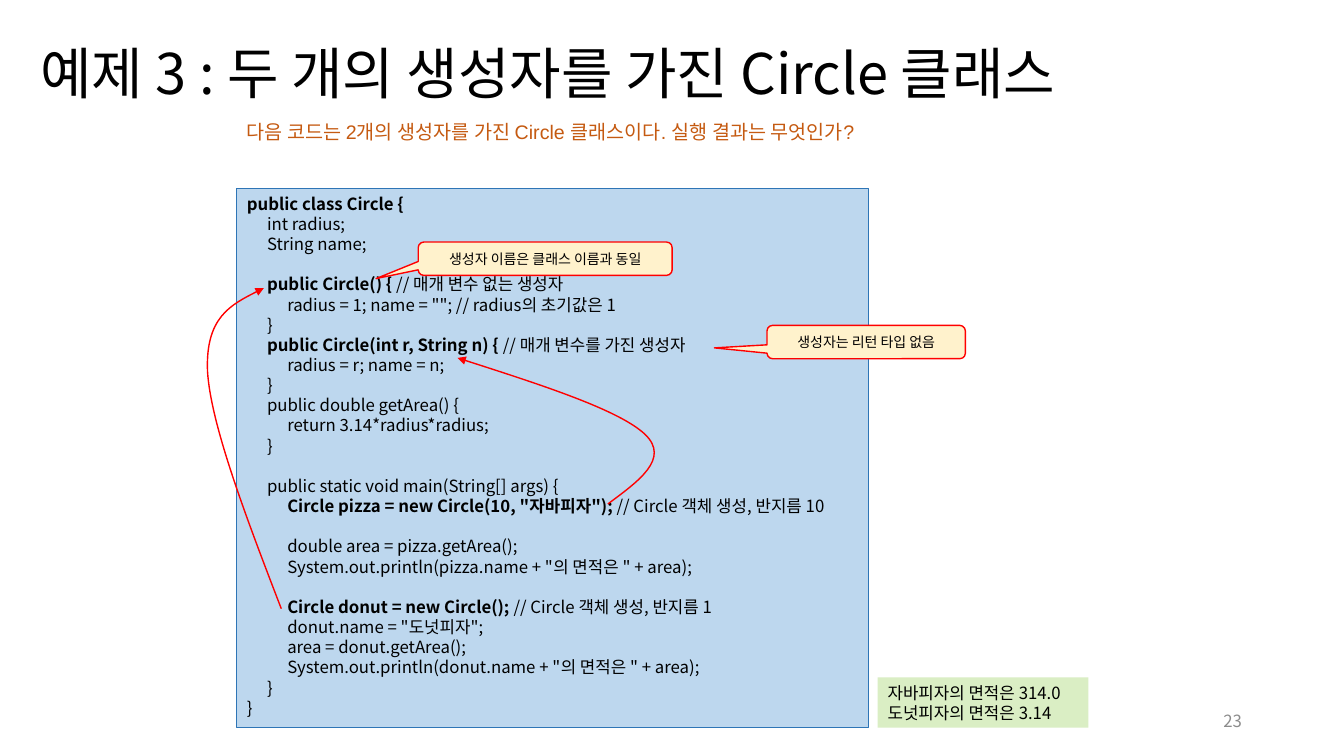
from lxml import etree
from pptx import Presentation
from pptx import util as u
from pptx.dml.color import RGBColor
from pptx.enum import shapes, text
from pptx.oxml.ns import qn

BLACK = RGBColor(0x00, 0x00, 0x00)
GREY = RGBColor(0x8C, 0x8C, 0x8C)
ORANGE = RGBColor(0xC5, 0x5A, 0x11)
RED = RGBColor(0xFF, 0x00, 0x00)
BLUE = RGBColor(0x2E, 0x75, 0xB6)
PALE_BLUE = RGBColor(0xBD, 0xD7, 0xEE)
PALE_GREEN = RGBColor(0xDA, 0xEE, 0xC4)
CREAM = RGBColor(0xFF, 0xF2, 0xCC)
KOREAN = "Noto Sans CJK KR"
CODE_LINE = u.Pt(14.4)
TAB = u.Cm(0.51)


def write(para, words, size=12, color=BLACK, bold=False, font=KOREAN,
          align=text.PP_ALIGN.LEFT):
    para.alignment = align
    span = para.add_run()
    span.text = words
    span.font.size = u.Pt(size)
    span.font.bold = bold
    span.font.color.rgb = color
    span.font.name = font
    etree.SubElement(span._r.get_or_add_rPr(), qn("a:ea"), typeface=KOREAN)


def add_box(kind, place, fill, line=None, weight=1.0, anchor=text.MSO_ANCHOR.TOP):
    box = page.shapes.add_shape(kind, *[u.Cm(value) for value in place])
    box.shadow.inherit = False
    box.fill.solid()
    box.fill.fore_color.rgb = fill
    if line is None:
        box.line.fill.background()
    else:
        box.line.color.rgb = line
        box.line.width = u.Pt(weight)
    box.text_frame.word_wrap = True
    box.text_frame.vertical_anchor = anchor
    return box


deck = Presentation()
deck.slide_width, deck.slide_height = u.Cm(33.87), u.Cm(19.05)
page = deck.slides.add_slide(deck.slide_layouts[5])

# Title
title = page.shapes.title
title.left, title.top, title.width, title.height = u.Cm(0.76), u.Cm(0.08), u.Cm(32.21), u.Cm(3.68)
title.text_frame.vertical_anchor = text.MSO_ANCHOR.MIDDLE
title.text_frame.paragraphs[0].line_spacing = 0.9
write(title.text_frame.paragraphs[0], "예제 3 : 두 개의 생성자를 가진 Circle 클래스", size=40)

# Slide number and question
labels = [
    ((23.93, 17.65, 7.62, 1.02), text.MSO_ANCHOR.MIDDLE, "23",
     dict(color=GREY, align=text.PP_ALIGN.RIGHT)),
    ((5.97, 2.9, 22.96, 0.86), text.MSO_ANCHOR.TOP,
     "다음 코드는 2개의 생성자를 가진 Circle 클래스이다. 실행 결과는 무엇인가?",
     dict(size=14, color=ORANGE, font="Arial")),
]
for place, anchor, words, style in labels:
    label = page.shapes.add_textbox(*[u.Cm(value) for value in place])
    label.text_frame.word_wrap = True
    label.text_frame.vertical_anchor = anchor
    write(label.text_frame.paragraphs[0], words, **style)

# Code blocks: each line is (tabs, bold part, plain part)
blocks = [
    [
        (0, "public class Circle {", ""),
        (1, "", "int radius;"),
        (1, "", "String name;"),
    ],
    [
        (1, "public Circle() {", " // 매개 변수 없는 생성자"),
        (2, "", 'radius = 1; name = ""; // radius의 초기값은 1'),
        (1, "", "}"),
        (1, "public Circle(int r, String n) { ", "// 매개 변수를 가진 생성자"),
        (2, "", "radius = r; name = n;"),
        (1, "", "}"),
        (1, "", "public double getArea() {"),
        (2, "", "return 3.14*radius*radius;"),
        (1, "", "}"),
    ],
    [
        (1, "", "public static void main(String[] args) {"),
        (2, 'Circle pizza = new Circle(10, "자바피자"); ', "// Circle 객체 생성, 반지름 10"),
    ],
    [
        (2, "", "double area = pizza.getArea();"),
        (2, "", 'System.out.println(pizza.name + "의 면적은 " + area);'),
    ],
    [
        (2, "Circle donut = new Circle(); ", "// Circle 객체 생성, 반지름 1"),
        (2, "", 'donut.name = "도넛피자";'),
        (2, "", "area = donut.getArea();"),
        (2, "", 'System.out.println(donut.name + "의 면적은 " + area);'),
        (1, "", "}"),
        (0, "", "}"),
    ],
]
code = add_box(shapes.MSO_SHAPE.RECTANGLE, (5.97, 4.75, 15.93, 13.59), PALE_BLUE, BLUE, 0.75)
for block_index, block in enumerate(blocks):
    for line_index, (tabs, bold_part, plain_part) in enumerate(block):
        first = block_index == line_index == 0
        para = code.text_frame.paragraphs[0] if first else code.text_frame.add_paragraph()
        para.line_spacing = CODE_LINE
        if line_index == 0 and block_index > 0:
            para.space_before = CODE_LINE
        stops = etree.SubElement(para._p.get_or_add_pPr(), qn("a:tabLst"))
        for stop in (1, 2):
            etree.SubElement(stops, qn("a:tab"), pos=str(TAB * stop), algn="l")
        for words, bold in (("\t" * tabs, False), (bold_part, True), (plain_part, False)):
            if words:
                write(para, words, bold=bold)

# Program output
output = add_box(shapes.MSO_SHAPE.RECTANGLE, (22.12, 17.07, 5.31, 1.27), PALE_GREEN)
output_lines = ["자바피자의 면적은 314.0", "도넛피자의 면적은 3.14"]
for index, words in enumerate(output_lines):
    para = output.text_frame.add_paragraph() if index else output.text_frame.paragraphs[0]
    para.line_spacing = CODE_LINE
    write(para, words)

# Callouts
callouts = [
    ((10.54, 6.1, 6.4, 0.84), (-0.666, 0.597, 0.167), "생성자 이름은 클래스 이름과 동일"),
    ((19.33, 8.2, 5, 0.84), (-0.765, 0.176, 0.167), "생성자는 리턴 타입 없음"),
]
for place, pointer, words in callouts:
    callout = add_box(shapes.MSO_SHAPE.ROUNDED_RECTANGULAR_CALLOUT, place, CREAM, RED,
                      anchor=text.MSO_ANCHOR.MIDDLE)
    for index, value in enumerate(pointer):
        callout.adjustments[index] = value
    write(callout.text_frame.paragraphs[0], words, size=10, align=text.PP_ALIGN.CENTER)

# Curved arrows from each call to its constructor: visible width, curve points
arrows = [
    (4.93, [(15.32, 12.7), (16.1, 12.12), (16.89, 11.56), (16.26, 10.95),
            (15.62, 10.34), (13.59, 9.68), (11.53, 9.02)]),
    (1.88, [(7.09, 15.34), (6.2, 13.03), (5.31, 10.69), (5.23, 9.35),
            (5.18, 8), (5.92, 7.62), (6.65, 7.26)]),
]
for width, points in arrows:
    start, *others = [(u.Cm(x), u.Cm(y)) for x, y in points]
    builder = page.shapes.build_freeform(*start)
    builder.add_line_segments(others, close=False)
    arrow = builder.convert_to_shape()
    arrow.shadow.inherit = False
    arrow.fill.background()
    arrow.line.color.rgb = RED
    arrow.line.width = u.Pt(1)
    etree.SubElement(arrow.line._get_or_add_ln(), qn("a:tailEnd"), type="triangle")
    # Join every three points into one cubic curve
    outline = next(arrow.element.iter(qn("a:path")))
    arrow.width = u.Cm(width)
    outline.set("w", str(arrow.width))
    segments = outline.findall(qn("a:lnTo"))
    for first in range(0, len(segments), 3):
        curve = etree.SubElement(outline, qn("a:cubicBezTo"))
        for segment in segments[first:first + 3]:
            curve.append(segment[0])
            outline.remove(segment)

deck.save("out.pptx")
